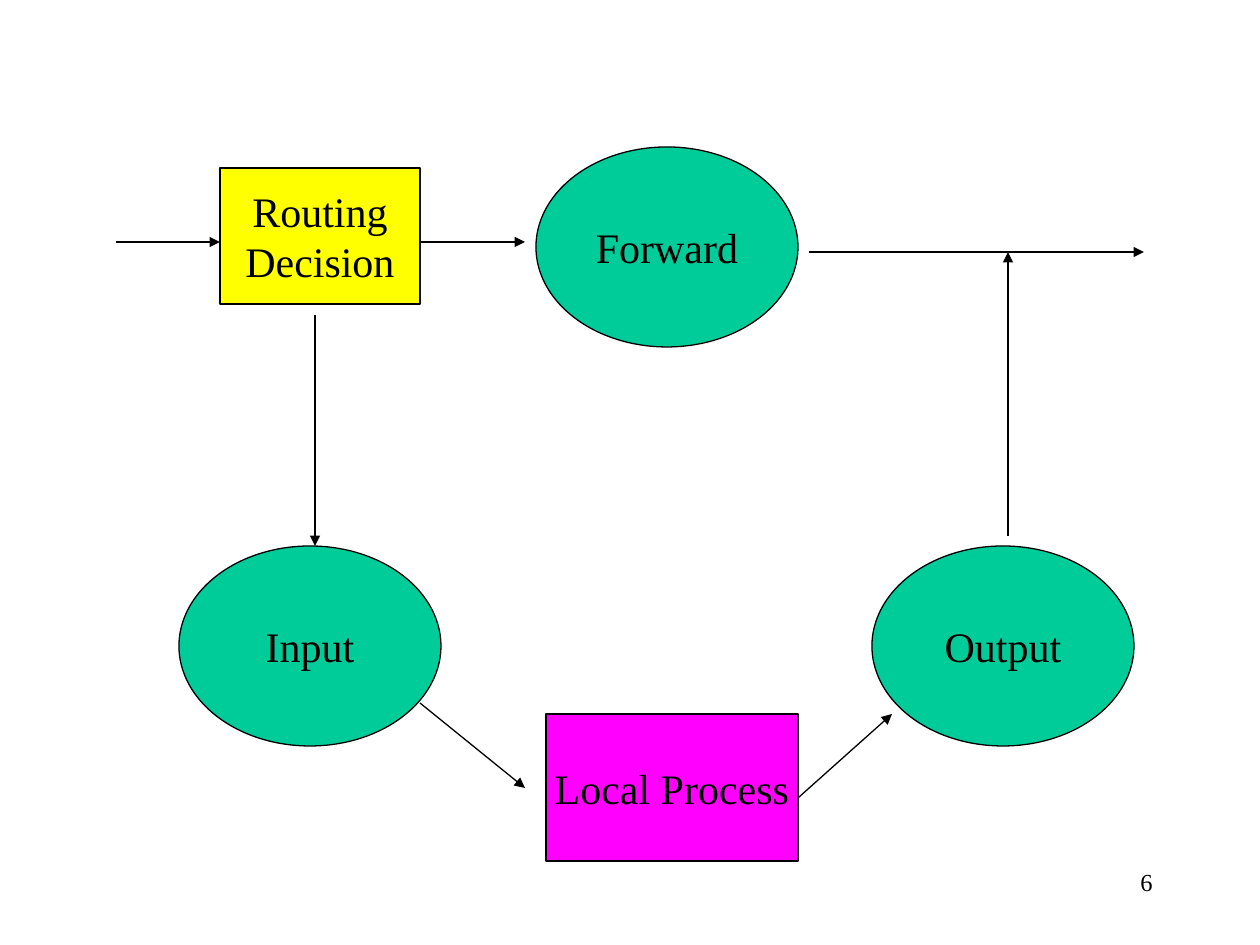
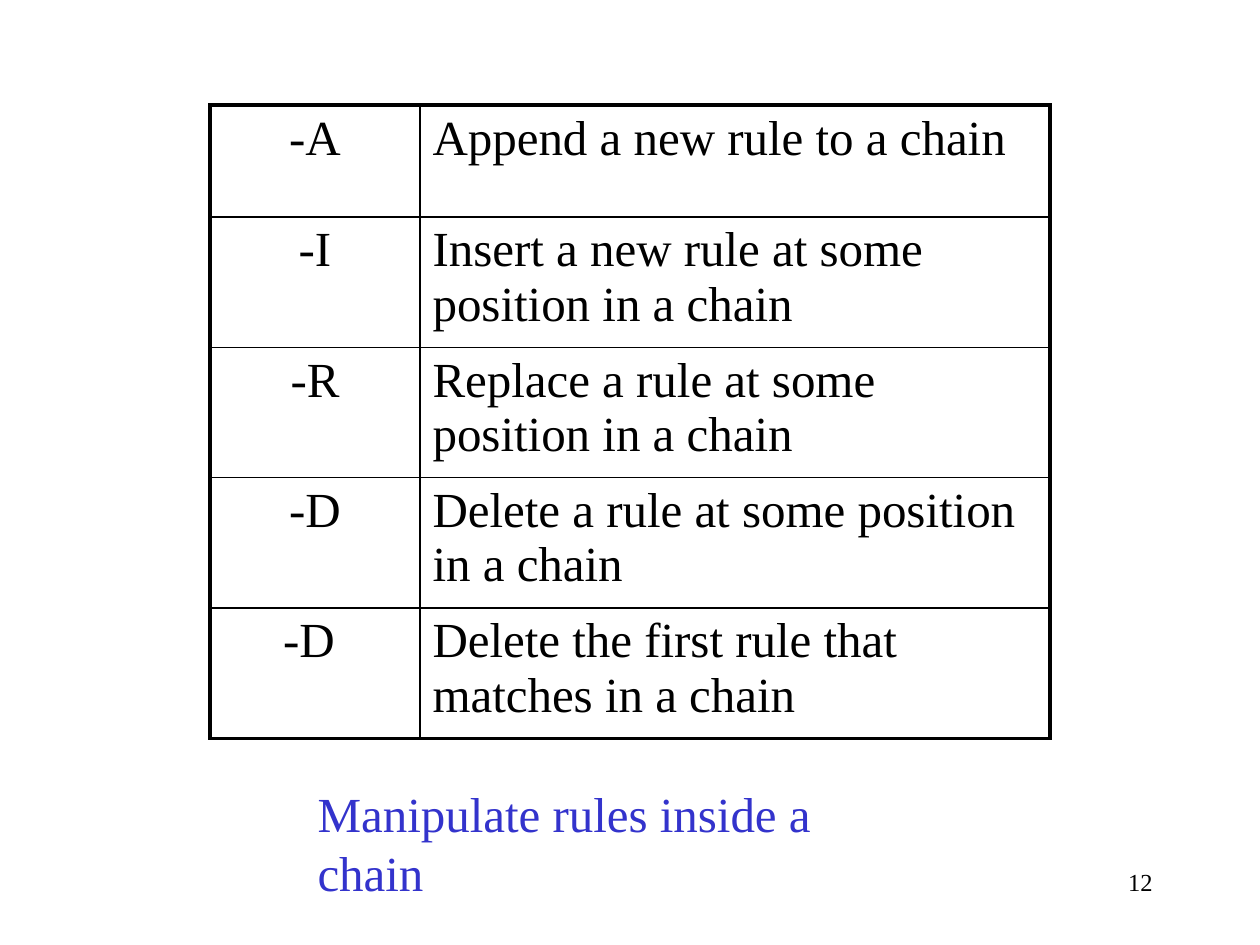
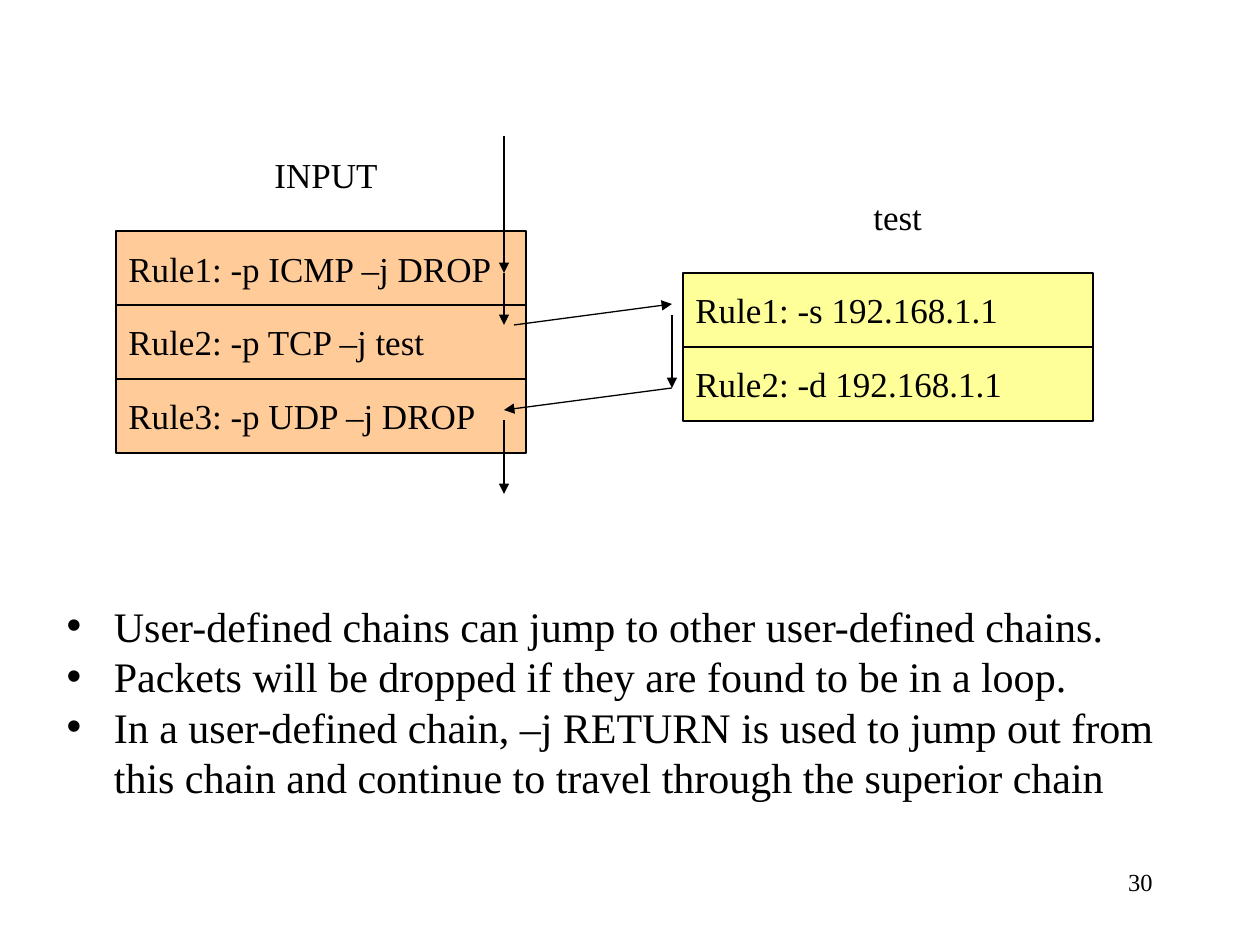
from dataclasses import dataclass

import lxml.etree
import pptx
import pptx.dml.color
import pptx.enum.shapes
import pptx.enum.text
import pptx.oxml.ns
import pptx.presentation
import pptx.slide
import pptx.text.text
import pptx.util

RGB = pptx.dml.color.RGBColor
BLACK = RGB(0x00, 0x00, 0x00)
BLUE = RGB(0x33, 0x33, 0xCC)
GREEN = RGB(0x00, 0xCC, 0x99)
YELLOW = RGB(0xFF, 0xFF, 0x00)
MAGENTA = RGB(0xFF, 0x00, 0xFF)
ORANGE = RGB(0xFF, 0xCC, 0x99)
PALE_YELLOW = RGB(0xFF, 0xFF, 0x99)

ALIGN = pptx.enum.text.PP_ALIGN
ANCHOR = pptx.enum.text.MSO_ANCHOR
SHAPE = pptx.enum.shapes.MSO_SHAPE
FONT = "Times New Roman"
PIXELS_PER_INCH = 126
THIN, THICK, OUTLINE = 1, 2.25, 0.75
TITLE_AND_CONTENT, TITLE_ONLY, BLANK = 1, 5, 6


@dataclass(frozen=True)
class Area:
    left: int
    top: int
    width: int
    height: int


@dataclass(frozen=True)
class Node:
    label: str
    area: Area
    fill: RGB
    shape: SHAPE = SHAPE.RECTANGLE
    size: int = 24
    align: ALIGN = ALIGN.CENTER


@dataclass(frozen=True)
class Arrow:
    start: tuple[int, int]
    end: tuple[int, int]


@dataclass(frozen=True)
class Chain:
    left: int
    top: int
    fill: RGB
    rules: tuple[str, ...]


PAGE_NUMBER_AREA = Area(903, 861, 262, 63)
OVAL_SIZE = (262, 200)
RULE_SIZE = (410, 74)

FLOW_NODES = (
    Node("Forward", Area(536, 147, *OVAL_SIZE), GREEN, SHAPE.OVAL),
    Node("Input", Area(179, 546, *OVAL_SIZE), GREEN, SHAPE.OVAL),
    Node("Output", Area(872, 546, *OVAL_SIZE), GREEN, SHAPE.OVAL),
    Node("Routing\nDecision", Area(220, 168, 200, 136), YELLOW),
    Node("Local Process", Area(546, 714, 252, 147), MAGENTA),
)
FLOW_ARROWS = (
    Arrow((315, 315), (315, 546)),
    Arrow((420, 242), (525, 242)),
    Arrow((809, 252), (1144, 252)),
    Arrow((1008, 536), (1008, 252)),
    Arrow((420, 703), (525, 788)),
    Arrow((798, 798), (892, 714)),
    Arrow((116, 242), (220, 242)),
)

COMMANDS = (
    ("-A", "Append a new rule to a chain"),
    ("-I", "Insert a new rule at some position in a chain"),
    ("-R", "Replace a rule at some position in a chain"),
    ("-D", "Delete a rule at some position in a chain"),
    ("-D ", "Delete the first rule that matches in a chain"),
)
COLUMN_WIDTHS = (210, 630)
ROW_HEIGHTS = (112, 130, 130, 130, 130)

CHAINS = (
    Chain(116, 231, ORANGE, (
        "Rule1: -p ICMP –j DROP",
        "Rule2: -p TCP –j test",
        "Rule3: -p UDP –j DROP",
    )),
    Chain(683, 273, PALE_YELLOW, (
        "Rule1: -s 192.168.1.1",
        "Rule2: -d 192.168.1.1",
    )),
)
CHAIN_ARROWS = (
    Arrow((504, 136), (504, 273)),
    Arrow((504, 273), (504, 325)),
    Arrow((514, 325), (672, 304)),
    Arrow((672, 315), (672, 388)),
    Arrow((672, 388), (504, 410)),
    Arrow((504, 420), (504, 494)),
)
CHAIN_LABELS = (
    ("INPUT", Area(262, 147, 129, 54)),
    ("test", Area(861, 189, 74, 54)),
)
CHAIN_NOTES = (
    "User-defined chains can jump to other user-defined chains.",
    "Packets will be dropped if they are found to be in a loop.",
    "In a user-defined chain, –j RETURN is used to jump out from this chain "
    "and continue to travel through the superior chain",
)


def px(pixels: int) -> pptx.util.Emu:
    return pptx.util.Emu(round(pixels * 914400 / PIXELS_PER_INCH))


def bounds(area: Area) -> tuple[pptx.util.Emu, ...]:
    return px(area.left), px(area.top), px(area.width), px(area.height)


def write(frame: pptx.text.text.TextFrame, text: str, size: int,
          align: ALIGN = ALIGN.LEFT, color: RGB = BLACK) -> None:
    frame.text = text
    for para in frame.paragraphs:
        para.alignment = align
        para.space_before = pptx.util.Pt(0)
        for span in para.runs:
            span.font.name = FONT
            span.font.size = pptx.util.Pt(size)
            span.font.color.rgb = color


def add_label(page: pptx.slide.Slide, text: str, area: Area, size: int,
              align: ALIGN = ALIGN.LEFT, wrap: bool = False) -> None:
    box = page.shapes.add_textbox(*bounds(area))
    box.text_frame.word_wrap = wrap
    write(box.text_frame, text, size, align)


def add_node(page: pptx.slide.Slide, node: Node) -> None:
    box = page.shapes.add_shape(node.shape, *bounds(node.area))
    box.shadow.inherit = False
    box.fill.solid()
    box.fill.fore_color.rgb = node.fill
    box.line.color.rgb = BLACK
    box.line.width = pptx.util.Pt(OUTLINE)
    box.text_frame.word_wrap = False
    box.text_frame.vertical_anchor = ANCHOR.MIDDLE
    write(box.text_frame, node.label, node.size, node.align)


def add_arrow(page: pptx.slide.Slide, arrow: Arrow) -> None:
    connector = page.shapes.add_connector(
        pptx.enum.shapes.MSO_CONNECTOR.STRAIGHT,
        *(px(value) for value in arrow.start + arrow.end))
    connector.line.color.rgb = BLACK
    connector.line.width = pptx.util.Pt(OUTLINE)
    qn = pptx.oxml.ns.qn
    properties = connector._element.spPr
    lxml.etree.SubElement(properties.find(qn("a:ln")), qn("a:tailEnd"),
                          type="triangle")
    lxml.etree.SubElement(properties, qn("a:effectLst"))


def set_borders(cell: pptx.table._Cell, widths: dict[str, float]) -> None:
    qn = pptx.oxml.ns.qn
    properties = cell._tc.get_or_add_tcPr()
    for side, width in widths.items():
        line = lxml.etree.SubElement(properties, qn(f"a:ln{side}"),
                                     w=str(int(pptx.util.Pt(width))))
        fill = lxml.etree.SubElement(line, qn("a:solidFill"))
        lxml.etree.SubElement(fill, qn("a:srgbClr"), val=str(BLACK))


def add_command_table(page: pptx.slide.Slide, left: int, top: int) -> None:
    area = Area(left, top, sum(COLUMN_WIDTHS), sum(ROW_HEIGHTS))
    table = page.shapes.add_table(
        len(COMMANDS), len(COLUMN_WIDTHS), *bounds(area)).table
    table.first_row = False
    table.horz_banding = False
    for column, width in zip(table.columns, COLUMN_WIDTHS):
        column.width = px(width)
    for row, height in zip(table.rows, ROW_HEIGHTS):
        row.height = px(height)
    last_row, last_column = len(COMMANDS) - 1, len(COLUMN_WIDTHS) - 1
    for row_index, texts in enumerate(COMMANDS):
        for column_index, text in enumerate(texts):
            cell = table.cell(row_index, column_index)
            write(cell.text_frame, text, 28,
                  ALIGN.CENTER if column_index == 0 else ALIGN.LEFT)
            set_borders(cell, {
                "L": THICK if column_index == 0 else THIN,
                "R": THICK if column_index == last_column else THIN,
                "T": THICK if row_index == 0 else THIN,
                "B": THICK if row_index == last_row else THIN,
            })
            cell.fill.background()


def fill_placeholder(box: pptx.shapes.placeholder.SlidePlaceholder, text: str,
                     area: Area, size: int, color: RGB, wrap: bool) -> None:
    box.left, box.top, box.width, box.height = bounds(area)
    frame = box.text_frame
    frame.word_wrap = wrap
    frame.auto_size = pptx.enum.text.MSO_AUTO_SIZE.NONE
    frame.vertical_anchor = ANCHOR.TOP
    write(frame, text, size, color=color)


def add_page(deck: pptx.presentation.Presentation, layout: int,
             number: int) -> pptx.slide.Slide:
    page = deck.slides.add_slide(deck.slide_layouts[layout])
    add_label(page, str(number), PAGE_NUMBER_AREA, 14, ALIGN.RIGHT, wrap=True)
    return page


def build_packet_flow(deck: pptx.presentation.Presentation) -> None:
    page = add_page(deck, BLANK, 6)
    for node in FLOW_NODES:
        add_node(page, node)
    for arrow in FLOW_ARROWS:
        add_arrow(page, arrow)


def build_commands(deck: pptx.presentation.Presentation) -> None:
    page = add_page(deck, TITLE_ONLY, 12)
    add_command_table(page, 210, 105)
    fill_placeholder(page.shapes.title, "Manipulate rules inside a chain",
                     Area(305, 777, 636, 72), 28, BLUE, wrap=False)


def build_user_chains(deck: pptx.presentation.Presentation) -> None:
    page = add_page(deck, TITLE_AND_CONTENT, 30)
    title = page.shapes.title._element
    title.getparent().remove(title)
    width, height = RULE_SIZE
    for chain in CHAINS:
        for index, rule in enumerate(chain.rules):
            area = Area(chain.left, chain.top + index * height, width, height)
            add_node(page, Node(rule, area, chain.fill, size=20,
                                align=ALIGN.LEFT))
    for arrow in CHAIN_ARROWS:
        add_arrow(page, arrow)
    for text, area in CHAIN_LABELS:
        add_label(page, text, area, 20)
    fill_placeholder(page.placeholders[1], "\n".join(CHAIN_NOTES),
                     Area(54, 594, 1132, 217), 24, BLACK, wrap=True)


def main() -> None:
    deck = pptx.Presentation()
    deck.slide_width, deck.slide_height = px(1260), px(945)
    build_packet_flow(deck)
    build_commands(deck)
    build_user_chains(deck)
    deck.save("out.pptx")


main()
